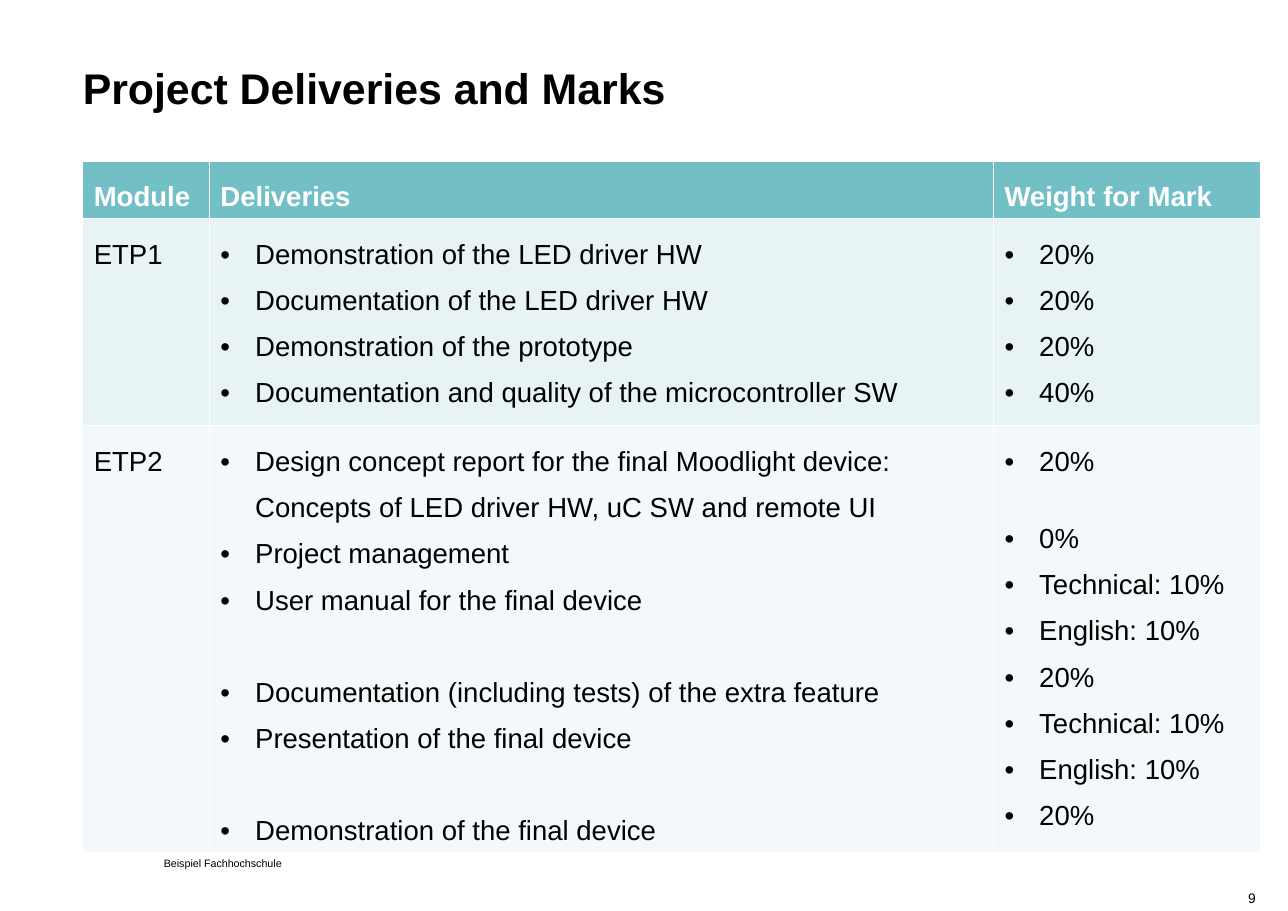
from dataclasses import dataclass
from typing import Any

from lxml.etree import SubElement
from pptx import Presentation
from pptx.dml.color import RGBColor
from pptx.enum.text import MSO_ANCHOR as Anchor, MSO_AUTO_SIZE as Fit, PP_ALIGN as Align
from pptx.oxml.ns import qn
from pptx.util import Cm, Pt

INK, PAPER = "000000", "FFFFFF"
INDENT = Cm(0.8)
FLUSH = dict(margin_left=0, margin_right=0, margin_top=0, margin_bottom=0,
             word_wrap=True, auto_size=Fit.NONE)


@dataclass
class Item:
    text: str
    gap: float = 0
    dot: bool = True


@dataclass
class Row:
    height: float
    fill: str
    cells: list[list[Item]]
    ink: str = INK
    bold: bool = False


@dataclass
class Label:
    text: str
    box: tuple[float, float, float, float]
    size: float
    lead: Any
    align: Any = Align.LEFT


def plain(text: str) -> list[Item]:
    return [Item(text, dot=False)]


def items(*texts: str) -> list[Item]:
    return [Item(text) for text in texts]


WIDTHS = [2.92, 18.08, 6.15]
ROWS = [
    Row(1.04, "72BFC5", [plain("Module"), plain("Deliveries"), plain("Weight for Mark")],
        PAPER, True),
    Row(4.78, "E7F3F4", [
        plain("ETP1"),
        items("Demonstration of the LED driver HW",
              "Documentation of the LED driver HW",
              "Demonstration of the prototype",
              "Documentation and quality of the microcontroller SW"),
        items("20%", "20%", "20%", "40%"),
    ]),
    Row(8.53, "F3F9FA", [
        plain("ETP2"),
        [Item("Design concept report for the final Moodlight device:\v"
              "Concepts of LED driver HW, uC SW and remote UI"),
         Item("Project management"),
         Item("User manual for the final device"),
         Item("Documentation (including tests) of the extra feature", 30),
         Item("Presentation of the final device"),
         Item("Demonstration of the final device", 30)],
        [Item("20%"), Item("0%", 20),
         *items("Technical: 10%", "English: 10%", "20%",
                "Technical: 10%", "English: 10%", "20%")],
    ]),
]
LABELS = [
    Label("Beispiel Fachhochschule", (3.78, 19.79, 3.35, 0.25), 7, Pt(7)),
    Label("9", (25.58, 20.52, 3.38, 0.45), 9, 1.0, Align.RIGHT),
]


def tint(code: str) -> RGBColor:
    return RGBColor.from_string(code)


def apply(thing: Any, **form: Any) -> None:
    for name, value in form.items():
        setattr(thing, name, value)


def place(shape: Any, box: tuple[float, float, float, float]) -> None:
    left, top, width, height = map(Cm, box)
    apply(shape, left=left, top=top, width=width, height=height)


def write(para: Any, text: str, size: float, ink: str = INK, bold: bool = False,
          **form: Any) -> None:
    para.text = text
    apply(para, **form)
    for run in para.runs:
        apply(run.font, name="Arial", size=Pt(size), bold=bold)
        run.font.color.rgb = tint(ink)


def add_dot(para: Any) -> None:
    props = para._p.get_or_add_pPr()
    props.set("marL", str(INDENT))
    props.set("indent", str(-INDENT))
    SubElement(props, qn("a:buFont")).set("typeface", "Arial")
    SubElement(props, qn("a:buChar")).set("char", "•")


def fill_cell(cell: Any, lines: list[Item], row: Row) -> None:
    cell.fill.solid()
    cell.fill.fore_color.rgb = tint(row.fill)
    frame = cell.text_frame
    for index, item in enumerate(lines):
        para = frame.add_paragraph() if index else frame.paragraphs[0]
        write(para, item.text, 18, row.ink, row.bold,
              line_spacing=1.5, space_before=Pt(item.gap), space_after=Pt(0))
        if item.dot:
            add_dot(para)


def add_label(slide: Any, label: Label) -> None:
    shape = slide.shapes.add_textbox(*map(Cm, label.box))
    apply(shape.text_frame, **FLUSH)
    write(shape.text_frame.paragraphs[0], label.text, label.size,
          line_spacing=label.lead, alignment=label.align)


def add_title(slide: Any) -> None:
    title = slide.shapes.title
    place(title, (1.91, 1.3, 22.89, 1.47))
    apply(title.text_frame, **FLUSH, vertical_anchor=Anchor.MIDDLE)
    write(title.text_frame.paragraphs[0], "Project Deliveries and Marks", 28, bold=True,
          line_spacing=Pt(32), alignment=Align.LEFT)


def add_marks(slide: Any) -> None:
    height = sum(row.height for row in ROWS)
    table = slide.shapes.add_table(
        len(ROWS), len(WIDTHS), Cm(1.91), Cm(3.71), Cm(sum(WIDTHS)), Cm(height)).table
    for column, width in zip(table.columns, WIDTHS):
        column.width = Cm(width)
    for line, row in zip(table.rows, ROWS):
        line.height = Cm(row.height)
        for cell, lines in zip(line.cells, row.cells):
            fill_cell(cell, lines, row)


def main() -> None:
    deck = Presentation()
    apply(deck, slide_width=Cm(29.7), slide_height=Cm(21))
    slide = deck.slides.add_slide(deck.slide_layouts[5])
    add_title(slide)
    for label in LABELS:
        add_label(slide, label)
    add_marks(slide)
    deck.save("out.pptx")


if __name__ == "__main__":
    main()
